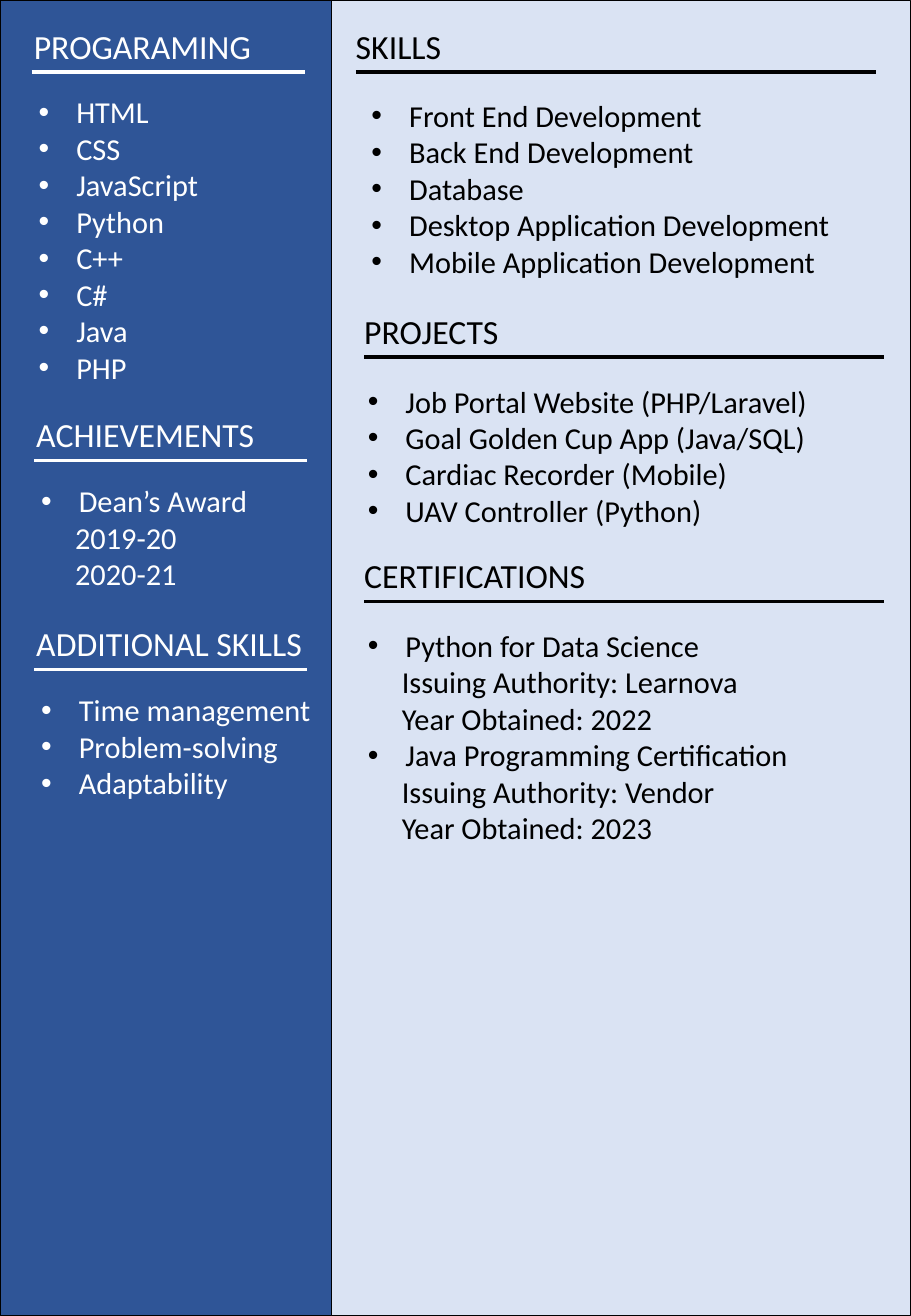
from lxml.etree import SubElement
from pptx import Presentation
from pptx.dml.color import RGBColor
from pptx.enum.shapes import MSO_CONNECTOR, MSO_SHAPE
from pptx.enum.text import MSO_AUTO_SIZE
from pptx.oxml.ns import qn
from pptx.util import Inches, Pt

WHITE = RGBColor(0xFF, 0xFF, 0xFF)
BLACK = RGBColor(0x00, 0x00, 0x00)
NAVY = RGBColor(0x2F, 0x55, 0x97)
PALE_BLUE = RGBColor(0xDA, 0xE3, 0xF3)
FONT = "Calibri"

SLIDE_WIDTH, SLIDE_HEIGHT = 7.5, 10.83
SIDEBAR_WIDTH = 2.73
LINE_HEIGHT = 0.3
TEXT_PADDING = 0.11
HEADING_HEIGHT = 0.44
BULLET_INDENT = 0.31
DETAIL_INDENT = 0.28

SIDEBAR = {
    "left": 0, "width": SIDEBAR_WIDTH, "fill": NAVY, "ink": WHITE,
    "rule_shift": 0.08, "rule_width": 2.25, "list_drop": 0.56,
    "sections": [
        {"heading": "PROGARAMING", "at": (0.18, 0.16), "heading_width": 2.01,
         "list_shift": 0.04, "list_width": 1.53,
         "items": [("HTML",), ("CSS",), ("JavaScript",), ("Python",),
                   ("C++",), ("C#",), ("Java",), ("PHP",)]},
        {"heading": "ACHIEVEMENTS", "at": (0.2, 3.36), "heading_width": 2.01,
         "list_shift": 0.04, "list_width": 1.92,
         "items": [("Dean’s Award", "2019-20", "2020-21")]},
        {"heading": "ADDITIONAL SKILLS", "at": (0.2, 5.08), "heading_width": 2.41,
         "list_shift": 0.04, "list_width": 2.45,
         "items": [("Time management",), ("Problem-solving",), ("Adaptability",)]},
    ],
}
MAIN = {
    "left": SIDEBAR_WIDTH, "width": SLIDE_WIDTH - SIDEBAR_WIDTH,
    "fill": PALE_BLUE, "ink": BLACK,
    "rule_shift": 0.1, "rule_width": 4.28, "list_drop": 0.59,
    "sections": [
        {"heading": "SKILLS", "at": (2.83, 0.16), "heading_width": 0.91,
         "list_shift": 0.13, "list_width": 4.18,
         "items": [("Front End Development",), ("Back End Development",),
                   ("Database",), ("Desktop Application Development",),
                   ("Mobile Application Development",)]},
        {"heading": "PROJECTS", "at": (2.9, 2.51), "heading_width": 1.32,
         "list_shift": 0.03, "list_width": 4.18,
         "items": [("Job Portal Website (PHP/Laravel)",),
                   ("Goal Golden Cup App (Java/SQL)",),
                   ("Cardiac Recorder (Mobile)",),
                   ("UAV Controller (Python)",)]},
        {"heading": "CERTIFICATIONS", "at": (2.9, 4.52), "heading_width": 2.04,
         "list_shift": 0.03, "list_width": 4.18,
         "items": [("Python for Data Science", "Issuing Authority: Learnova",
                    "Year Obtained: 2022"),
                   ("Java Programming Certification", "Issuing Authority: Vendor",
                    "Year Obtained: 2023")]},
    ],
}


def add_panel(slide, column):
    panel = slide.shapes.add_shape(
        MSO_SHAPE.RECTANGLE, Inches(column["left"]), 0,
        Inches(column["width"]), Inches(SLIDE_HEIGHT))
    panel.shadow.inherit = False
    panel.fill.solid()
    panel.fill.fore_color.rgb = column["fill"]
    panel.line.color.rgb = BLACK
    panel.line.width = Pt(0.5)


def add_text(slide, lines, left, top, width, height, size, color, wrap):
    box = slide.shapes.add_textbox(*map(Inches, (left, top, width, height)))
    frame = box.text_frame
    frame.text = "\n".join(lines)
    frame.word_wrap = wrap
    frame.auto_size = MSO_AUTO_SIZE.SHAPE_TO_FIT_TEXT
    for paragraph in frame.paragraphs:
        font = paragraph.runs[0].font
        font.name, font.size = FONT, Pt(size)
        font.color.rgb = color
    return frame.paragraphs


def indent(paragraph, bulleted):
    properties = paragraph._p.get_or_add_pPr()
    margin = BULLET_INDENT if bulleted else DETAIL_INDENT
    properties.set("marL", str(Inches(margin)))
    properties.set("indent", str(-Inches(margin) if bulleted else 0))
    if bulleted:
        SubElement(properties, qn("a:buFont")).set("typeface", "Arial")
        SubElement(properties, qn("a:buChar")).set("char", "•")


def add_rule(slide, left, top, width, color):
    rule = slide.shapes.add_connector(
        MSO_CONNECTOR.STRAIGHT, *map(Inches, (left, top, left + width, top)))
    rule.line.color.rgb = color
    rule.line.width = Pt(2.25)
    SubElement(rule._element.spPr, qn("a:effectLst"))


def add_section(slide, column, section):
    left, top = section["at"]
    ink = column["ink"]
    add_text(slide, [section["heading"]], left, top, section["heading_width"],
             HEADING_HEIGHT, 20, ink, False)
    add_rule(slide, left + column["rule_shift"], top + HEADING_HEIGHT - 0.01,
             column["rule_width"], ink)
    lines = [line for item in section["items"] for line in item]
    levels = [index == 0 for item in section["items"] for index in range(len(item))]
    paragraphs = add_text(
        slide, lines, left + section["list_shift"], top + column["list_drop"],
        section["list_width"], len(lines) * LINE_HEIGHT + TEXT_PADDING, 18, ink,
        column is MAIN)
    for paragraph, bulleted in zip(paragraphs, levels):
        indent(paragraph, bulleted)


def main():
    presentation = Presentation()
    presentation.slide_width = Inches(SLIDE_WIDTH)
    presentation.slide_height = Inches(SLIDE_HEIGHT)
    slide = presentation.slides.add_slide(presentation.slide_layouts[6])
    for column in (SIDEBAR, MAIN):
        add_panel(slide, column)
        for section in column["sections"]:
            add_section(slide, column, section)
    presentation.save("out.pptx")


if __name__ == "__main__":
    main()
